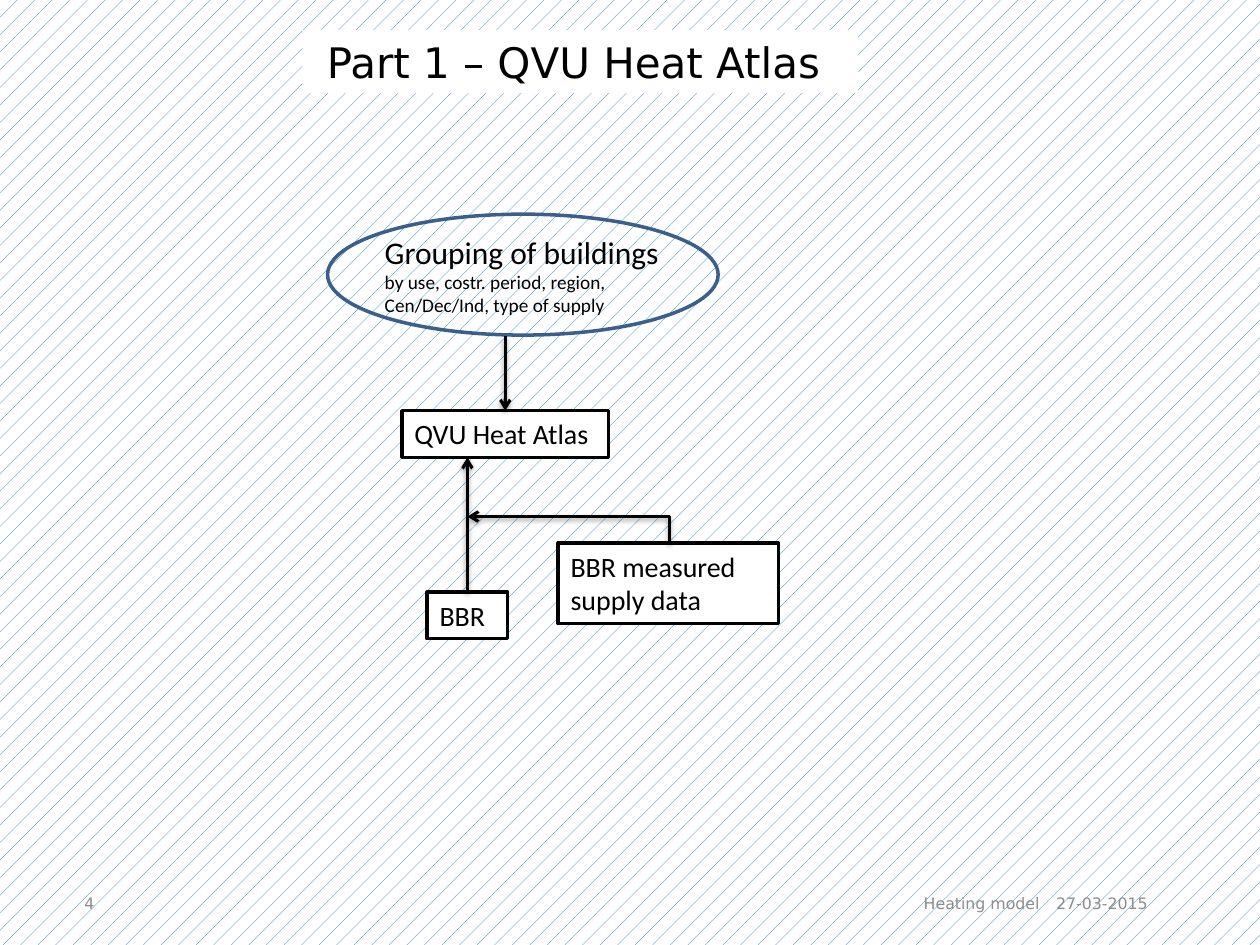
import pptx
import pptx.util
import pptx.dml.color
import pptx.enum.dml
import pptx.enum.shapes
import pptx.enum.text
import pptx.oxml
import pptx.oxml.ns

COLUMNS, ROWS = 100, 75
COLORS = {"ink": "000000", "paper": "FFFFFF", "pattern": "0070C0",
          "footer": "8C8C8C", "oval": "3A5F8C"}
BODY_FONT, TITLE_FONT = "Calibri", "DejaVu Sans"
ALIGN = pptx.enum.text.PP_ALIGN
ANCHOR = pptx.enum.text.MSO_ANCHOR
SHAPES = pptx.enum.shapes.MSO_SHAPE
CONNECTORS = pptx.enum.shapes.MSO_CONNECTOR
NAMESPACE = pptx.oxml.ns.nsdecls("a")
SHADOW = (
    f'<a:effectLst {NAMESPACE}><a:outerShdw blurRad="39370" dist="20320" '
    'dir="5400000" rotWithShape="0"><a:srgbClr val="000000">'
    '<a:alpha val="38000"/></a:srgbClr></a:outerShdw></a:effectLst>'
)


def rgb(name):
    return pptx.dml.color.RGBColor.from_string(COLORS[name])


def write(frame, *pieces, font=BODY_FONT, color="ink", align=ALIGN.LEFT,
          anchor=ANCHOR.TOP, margin=None, grow=False):
    frame.word_wrap = True
    frame.vertical_anchor = anchor
    if margin is not None:
        frame.margin_left = frame.margin_right = margin
        frame.margin_top = frame.margin_bottom = margin
    if grow:
        frame.auto_size = pptx.enum.text.MSO_AUTO_SIZE.SHAPE_TO_FIT_TEXT
    paragraph = frame.paragraphs[0]
    paragraph.alignment = align
    for text, size in pieces:
        run = paragraph.add_run()
        run.text = text
        run.font.size = pptx.util.Pt(size)
        run.font.name = font
        run.font.color.rgb = rgb(color)


class Diagram:
    def __init__(self, presentation):
        self.slide = presentation.slides.add_slide(presentation.slide_layouts[6])
        self.column = presentation.slide_width / COLUMNS
        self.row = presentation.slide_height / ROWS

    def place(self, *lengths):
        units = (self.column, self.row) * 2
        return [round(length * unit) for length, unit in zip(lengths, units)]

    def background(self):
        fill = self.slide.background.fill
        fill.patterned()
        fill.pattern = pptx.enum.dml.MSO_PATTERN.PERCENT_5
        fill.fore_color.rgb = rgb("pattern")
        fill.back_color.rgb = rgb("paper")

    def footer(self, text, area, align):
        box = self.slide.shapes.add_textbox(*self.place(*area))
        write(box.text_frame, (text, 9), font=TITLE_FONT, color="footer",
              align=align, margin=0)

    def shape(self, area, *pieces, kind=SHAPES.RECTANGLE, fill="paper",
              line="ink", **style):
        shape = self.slide.shapes.add_shape(kind, *self.place(*area))
        shape.shadow.inherit = False
        if fill:
            shape.fill.solid()
            shape.fill.fore_color.rgb = rgb(fill)
        else:
            shape.fill.background()
        if line:
            shape.line.color.rgb = rgb(line)
            shape.line.width = pptx.util.Pt(2)
        else:
            shape.line.fill.background()
        write(shape.text_frame, *pieces, **style)
        return shape

    def arrow(self, start, end, kind=CONNECTORS.STRAIGHT):
        connector = self.slide.shapes.add_connector(kind, *self.place(*start, *end))
        connector.line.color.rgb = rgb("ink")
        connector.line.width = pptx.util.Pt(1.75)
        connector.line._get_or_add_ln().append(
            pptx.oxml.parse_xml(f'<a:tailEnd {NAMESPACE} type="arrow"/>'))
        connector._element.spPr.append(pptx.oxml.parse_xml(SHADOW))
        return connector

    def corner_arrow(self, start, end):
        middle_x, middle_y = ((a + b) / 2 for a, b in zip(start, end))
        half_width = abs(start[1] - end[1]) / 2
        half_height = abs(start[0] - end[0]) / 2
        connector = self.arrow((middle_x - half_width, middle_y + half_height),
                               (middle_x + half_width, middle_y - half_height),
                               CONNECTORS.ELBOW)
        properties = connector._element.spPr
        properties.find(pptx.oxml.ns.qn("a:xfrm")).set("rot", str(270 * 60000))
        properties.find(pptx.oxml.ns.qn("a:prstGeom")).set("prst", "bentConnector2")


def main():
    presentation = pptx.Presentation()
    presentation.slide_width = pptx.util.Inches(10)
    presentation.slide_height = pptx.util.Inches(7.5)
    diagram = Diagram(presentation)
    diagram.background()

    for text, left, width, align in (
        ("27-03-2015", 83.3, 8.3, ALIGN.CENTER),
        ("Heating model", 52.5, 30, ALIGN.RIGHT),
        ("4", 6.7, 3.3, ALIGN.LEFT),
    ):
        diagram.footer(text, (left, 70.9, width, 3.3), align)

    atlas, register, measured = (
        diagram.shape(area, (text, 16), grow=True)
        for text, area in (
            ("QVU Heat Atlas", (31.9, 32.6, 16.4, 3.7)),
            ("BBR", (33.9, 47, 6.4, 3.7)),
            ("BBR measured supply data", (44.3, 43.1, 17.5, 6.4)),
        )
    )

    diagram.arrow((37.1, 47), (37.1, 36.3)).begin_connect(register, 0)
    diagram.corner_arrow((53.1, 43.1), (37.1, 41))
    diagram.shape((26, 17, 31, 9.6), ("Grouping of buildings ", 18),
                  ("by use, costr. period, region, Cen/Dec/Ind, type of supply", 11),
                  kind=SHAPES.OVAL, fill=None, line="oval",
                  anchor=ANCHOR.MIDDLE, margin=0)
    diagram.arrow((40.1, 26.7), (40.1, 32.6)).end_connect(atlas, 0)
    diagram.shape((24, 2.4, 44.1, 5), ("Part 1 – QVU Heat Atlas ", 24),
                  line=None, font=TITLE_FONT, align=ALIGN.CENTER, grow=True)

    presentation.save("out.pptx")


if __name__ == "__main__":
    main()
